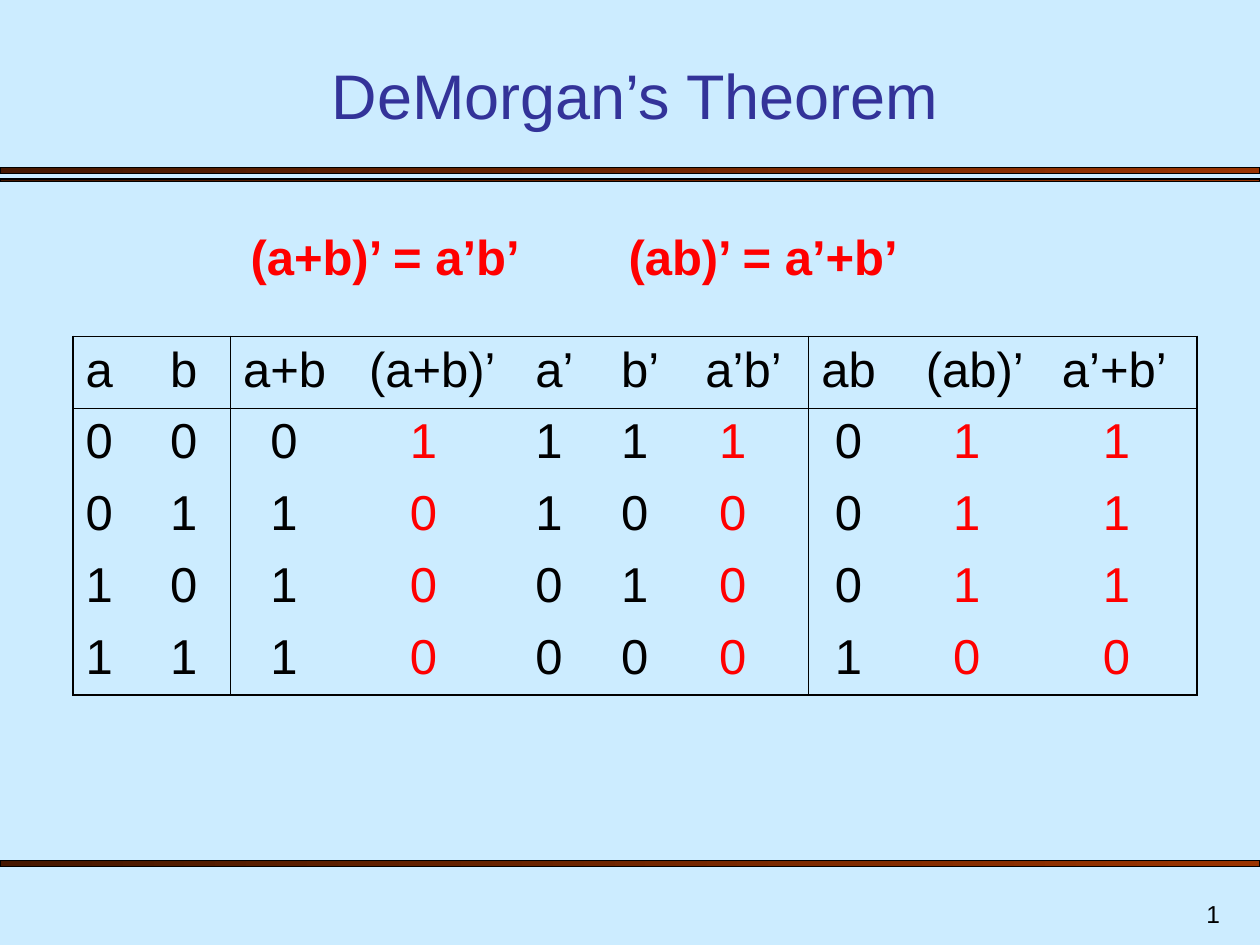
from pptx import Presentation
from pptx.dml.color import RGBColor
from pptx.enum.shapes import MSO_SHAPE
from pptx.enum.text import MSO_ANCHOR, PP_ALIGN
from pptx.oxml.ns import qn
from pptx.util import Inches, Pt
from lxml import etree

RECT = MSO_SHAPE.RECTANGLE
LEFT, MID, RIGHT = PP_ALIGN.LEFT, PP_ALIGN.CENTER, PP_ALIGN.RIGHT
TOP, LOW = MSO_ANCHOR.TOP, MSO_ANCHOR.BOTTOM

THEME = {
    "font": "Arial", "title": 36, "body": 28, "foot": 14,
    "back": "CCECFF", "head": "333399", "ink": "000000", "mark": "FF0000",
    "warm": "993300", "dark": "461700",
    "bar": 0.75, "thick": 1.08, "thin": 0.45,
}
WIDE, HIGH = 10, 7.5
BARS = [(1.33, 0.05), (1.42, 0.02), (6.83, 0.05)]

COLS = [0.67, 0.58, 1, 1.32, 0.68, 0.67, 0.92, 0.83, 1.08, 1.17]
ROW = 0.57
HEADS = ["a", "b", "a+b", "(a+b)’", "a’", "b’", "a’b’", "ab", "(ab)’", "a’+b’"]
BITS = ["0001111011", "0110100011", "1010010011", "1110000100"]
STEPS = [0, 0, 2, 3, 0, 0, 1, 1, 2, 3]
STEP = 0.108
MARKED = {3, 6, 8, 9}
UPRIGHT = {0: "thick", 2: "thin", 7: "thin", len(COLS): "thick"}
LEVEL = {0: "thick", 1: "thin", len(BITS) + 1: "thick"}


def color(name):
    return RGBColor.from_string(THEME[name])


def apply(target, values):
    for key, value in values.items():
        setattr(target, key, value)


def write(frame, text, size, tint, bold=False, align=LEFT):
    para = frame.paragraphs[0]
    para.alignment = align
    run = para.add_run()
    run.text = text
    apply(run.font, {"name": THEME["font"], "size": Pt(THEME[size]), "bold": bold})
    run.font.color.rgb = color(tint)
    return para


def label(slide, box, text, size, tint, bold=False, align=LEFT, anchor=TOP, wrap=True):
    frame = slide.shapes.add_textbox(*map(Inches, box)).text_frame
    apply(frame, {"word_wrap": wrap, "vertical_anchor": anchor})
    write(frame, text, size, tint, bold, align)


def stripe(slide, top, high):
    bar = slide.shapes.add_shape(RECT, 0, Inches(top), Inches(WIDE), Inches(high))
    bar.shadow.inherit = False
    bar.fill.gradient()
    bar.fill.gradient_angle = 180
    for stop, name in zip(bar.fill.gradient_stops, ("warm", "dark")):
        stop.color.rgb = color(name)
    bar.line.color.rgb = color("ink")
    bar.line.width = Pt(THEME["bar"])


def edge(cell, side, weight):
    line = etree.SubElement(cell._tc.get_or_add_tcPr(), qn("a:ln" + side))
    if weight is None:
        etree.SubElement(line, qn("a:noFill"))
        return
    line.set("w", str(int(Pt(THEME[weight]))))
    fill = etree.SubElement(line, qn("a:solidFill"))
    etree.SubElement(fill, qn("a:srgbClr"), val=THEME["ink"])


def fill_cell(cell, row, col, text):
    sides = {"L": UPRIGHT.get(col), "R": UPRIGHT.get(col + 1),
             "T": LEVEL.get(row), "B": LEVEL.get(row + 1)}
    for side, weight in sides.items():
        edge(cell, side, weight)
    cell.fill.background()
    tint = "mark" if row and col in MARKED else "ink"
    para = write(cell.text_frame, text, "body", tint)
    para.space_before = Pt(7)
    if row:
        para._p.get_or_add_pPr().set("marL", str(Inches(STEP * STEPS[col])))


def truth(slide, left, top):
    rows = [HEADS, *BITS]
    size = map(Inches, (left, top, sum(COLS), ROW * len(rows)))
    table = slide.shapes.add_table(len(rows), len(COLS), *size).table
    apply(table, {"first_row": False, "horz_banding": False})
    for col, width in zip(table.columns, COLS):
        col.width = Inches(width)
    for r, row in enumerate(rows):
        for c, text in enumerate(row):
            fill_cell(table.cell(r, c), r, c, text)


def main():
    deck = Presentation()
    apply(deck, {"slide_width": Inches(WIDE), "slide_height": Inches(HIGH)})
    slide = deck.slides.add_slide(deck.slide_layouts[6])
    slide.background.fill.solid()
    slide.background.fill.fore_color.rgb = color("back")
    for top, high in BARS:
        stripe(slide, top, high)
    label(slide, (0.58, 0.42, 8.92, 0.68), "DeMorgan’s Theorem", "title", "head",
          align=MID, anchor=LOW)
    truth(slide, 0.58, 2.67)
    label(slide, (1.89, 1.75, 6.36, 0.57), "(a+b)’ = a’b’\t\t(ab)’ = a’+b’",
          "body", "mark", bold=True, wrap=False)
    label(slide, (7.7, 7, 2.08, 0.42), "1", "foot", "ink", align=RIGHT, anchor=LOW)
    deck.save("out.pptx")


if __name__ == "__main__":
    main()
